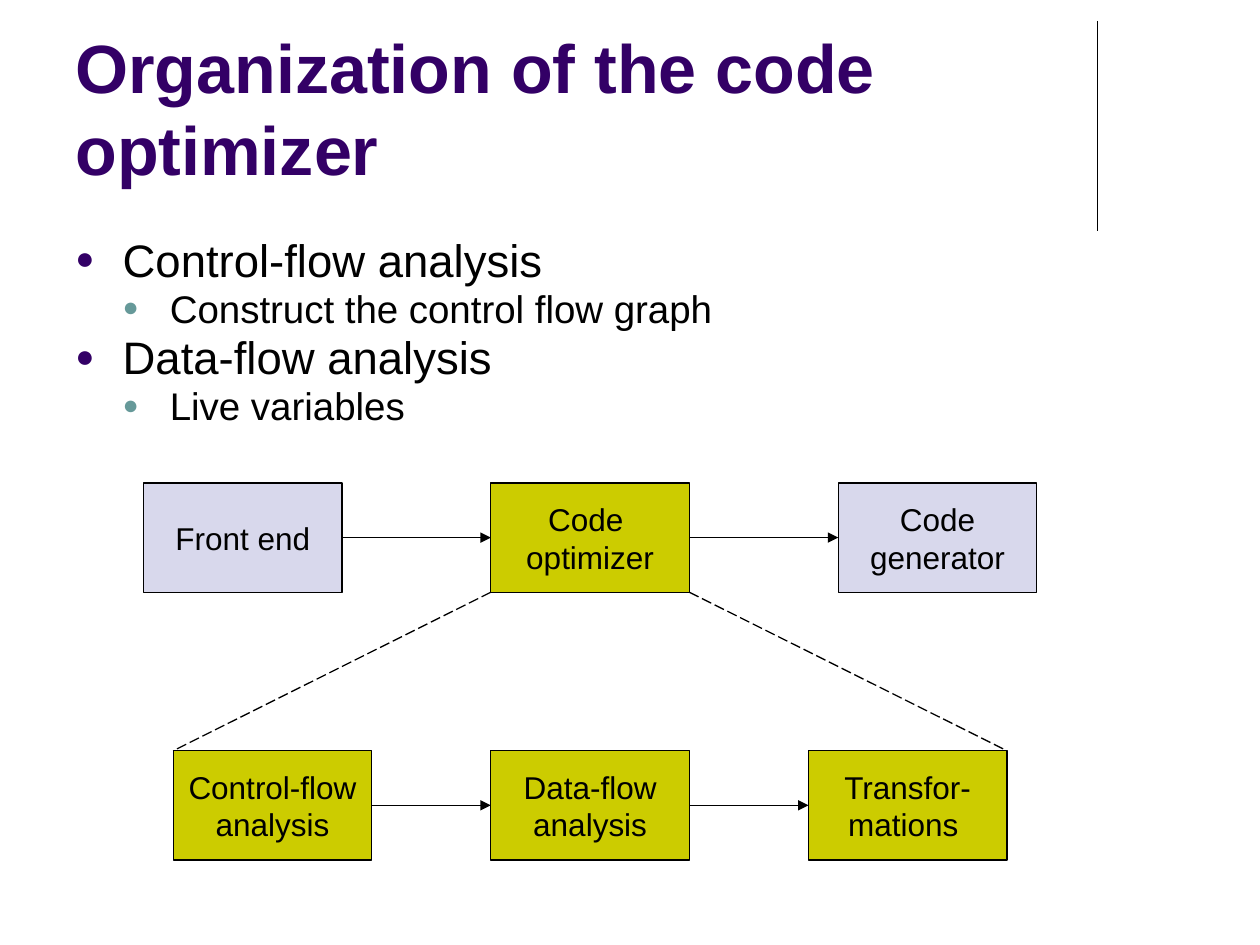
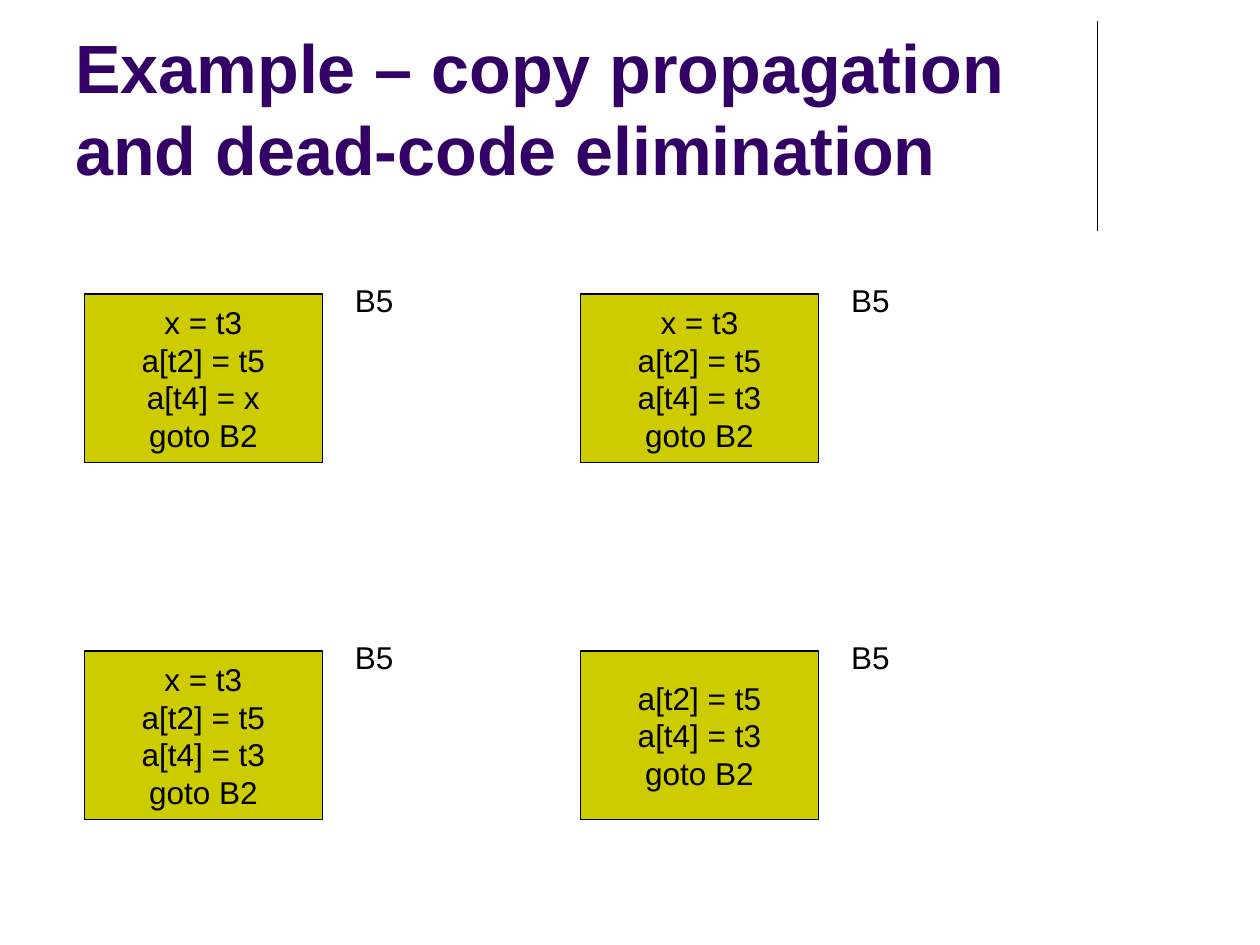
import pptx
import pptx.util
import pptx.dml.color
import pptx.enum.dml
import pptx.enum.shapes
import pptx.enum.text
import pptx.oxml.ns
import lxml.etree

Pt = pptx.util.Pt
RGBColor = pptx.dml.color.RGBColor
ALIGN = pptx.enum.text.PP_ALIGN
ANCHOR = pptx.enum.text.MSO_ANCHOR
qn = pptx.oxml.ns.qn

FONT = "Arial"
BLACK = RGBColor(0x00, 0x00, 0x00)
PURPLE = RGBColor(0x33, 0x00, 0x66)
TEAL = RGBColor(0x66, 0x99, 0x99)
OLIVE = RGBColor(0xCC, 0xCC, 0x00)
LAVENDER = RGBColor(0xD8, 0xD8, 0xEC)

LINE_WIDTH = 0.75
BULLET_INDENT = 27
BULLET_LEVELS = [(26, PURPLE), (22, TEAL)]


def write(frame, paragraphs, size=18, color=BLACK, bold=False,
          align=ALIGN.LEFT, anchor=ANCHOR.TOP, wrap=False):
    frame.word_wrap = wrap
    frame.vertical_anchor = anchor
    for index, text in enumerate(paragraphs):
        para = frame.paragraphs[0] if index == 0 else frame.add_paragraph()
        para.text = text
        para.alignment = align
        for span in para.runs:
            span.font.name = FONT
            span.font.size = Pt(size)
            span.font.bold = bold
            span.font.color.rgb = color


def add_text(page, left, top, width, height, paragraphs, **style):
    box = page.shapes.add_textbox(Pt(left), Pt(top), Pt(width), Pt(height))
    write(box.text_frame, paragraphs, **style)
    return box


def add_box(page, left, top, width, height, paragraphs, fill=OLIVE):
    box = page.shapes.add_shape(pptx.enum.shapes.MSO_SHAPE.RECTANGLE,
                                Pt(left), Pt(top), Pt(width), Pt(height))
    box.shadow.inherit = False
    box.fill.solid()
    box.fill.fore_color.rgb = fill
    box.line.color.rgb = BLACK
    box.line.width = Pt(LINE_WIDTH)
    write(box.text_frame, paragraphs, align=ALIGN.CENTER, anchor=ANCHOR.MIDDLE)
    return box


def add_line(page, x1, y1, x2, y2, dash=None):
    line = page.shapes.add_connector(pptx.enum.shapes.MSO_CONNECTOR.STRAIGHT,
                                     x1, y1, x2, y2)
    line.line.color.rgb = BLACK
    line.line.width = Pt(LINE_WIDTH)
    if dash:
        line.line.dash_style = dash
    properties = line._element.spPr
    lxml.etree.SubElement(properties, qn("a:effectLst"))
    return line


def add_arrow(page, source, target):
    arrow = add_line(page, 0, 0, 0, 0)
    arrow.begin_connect(source, 3)
    arrow.end_connect(target, 1)
    outline = arrow.line._get_or_add_ln()
    lxml.etree.SubElement(outline, qn("a:tailEnd"), type="triangle")


def set_bullet(para, level):
    size, color = BULLET_LEVELS[level]
    para.level = level
    para.line_spacing = 0.8
    para.space_before = Pt(size * 0.2)
    for span in para.runs:
        span.font.size = Pt(size)
    properties = para._p.get_or_add_pPr()
    properties.set("marL", str(Pt(BULLET_INDENT * (level + 1))))
    properties.set("indent", str(Pt(-BULLET_INDENT)))
    bullet_color = lxml.etree.SubElement(properties, qn("a:buClr"))
    lxml.etree.SubElement(bullet_color, qn("a:srgbClr"), val=str(color))
    lxml.etree.SubElement(properties, qn("a:buSzPct"), val="70000")
    lxml.etree.SubElement(properties, qn("a:buFont"), typeface=FONT)
    lxml.etree.SubElement(properties, qn("a:buChar"), char="●")


def add_bullets(page, left, top, width, height, items):
    box = add_text(page, left, top, width, height,
                   [text for text, level in items], wrap=True)
    for para, (text, level) in zip(box.text_frame.paragraphs, items):
        set_bullet(para, level)


def add_titled_page(deck, title):
    page = deck.slides.add_slide(deck.slide_layouts[6])
    add_line(page, Pt(627), Pt(12), Pt(627), Pt(132))
    add_text(page, 36, 9.4, 594, 102, [title], size=39, color=PURPLE,
             bold=True, anchor=ANCHOR.BOTTOM, wrap=True)
    return page


def add_stage_row(page, left, top, pitch, stages):
    boxes = [add_box(page, left + index * pitch, top, 113.4, 62.4, [text], fill)
             for index, (text, fill) in enumerate(stages)]
    for source, target in zip(boxes, boxes[1:]):
        add_arrow(page, source, target)
    return boxes


def add_optimizer_diagram(page, left, top):
    inset = 17
    pitch = 198.5
    phases = add_stage_row(page, left, top, pitch, [
        ("Front end", LAVENDER),
        ("Code \voptimizer", OLIVE),
        ("Code\vgenerator", LAVENDER),
    ])
    steps = add_stage_row(page, left + inset, top + 153, pitch - inset, [
        ("Control-flow\vanalysis", OLIVE),
        ("Data-flow\vanalysis", OLIVE),
        ("Transfor-\vmations ", OLIVE),
    ])
    optimizer = phases[1]
    for step, side in ((steps[0], 0), (steps[-1], 1)):
        add_line(page, optimizer.left + side * optimizer.width,
                 optimizer.top + optimizer.height,
                 step.left + side * step.width, step.top,
                 dash=pptx.enum.dml.MSO_LINE.LONG_DASH)


def add_code_block(page, left, top, label, code):
    add_box(page, left, top, 136, 96.4, code)
    tag = add_text(page, left + 147.6, top - 11, 36.8, 29, [label])
    tag.text_frame.auto_size = pptx.enum.text.MSO_AUTO_SIZE.SHAPE_TO_FIT_TEXT


def add_code_grid(page, left, top, blocks):
    for index, code in enumerate(blocks):
        row, column = divmod(index, 2)
        add_code_block(page, left + column * 283.5, top + row * 204, "B5", code)


def build_organization(deck):
    page = add_titled_page(deck, "Organization of the code optimizer")
    add_bullets(page, 36, 135, 648, 123, [
        ("Control-flow analysis", 0),
        ("Construct the control flow graph", 1),
        ("Data-flow analysis", 0),
        ("Live variables", 1),
    ])
    add_optimizer_diagram(page, 82, 276)


def build_example(deck):
    page = add_titled_page(
        deck, "Example – copy propagation and dead-code elimination")
    propagated = ["x = t3", "a[t2] = t5", "a[t4] = t3", "goto B2"]
    add_code_grid(page, 48.2, 168, [
        ["x = t3", "a[t2] = t5", "a[t4] = x", "goto B2"],
        propagated,
        propagated,
        propagated[1:],
    ])


def main():
    deck = pptx.Presentation()
    deck.slide_width = Pt(720)
    deck.slide_height = Pt(540)
    build_organization(deck)
    build_example(deck)
    deck.save("out.pptx")


if __name__ == "__main__":
    main()
